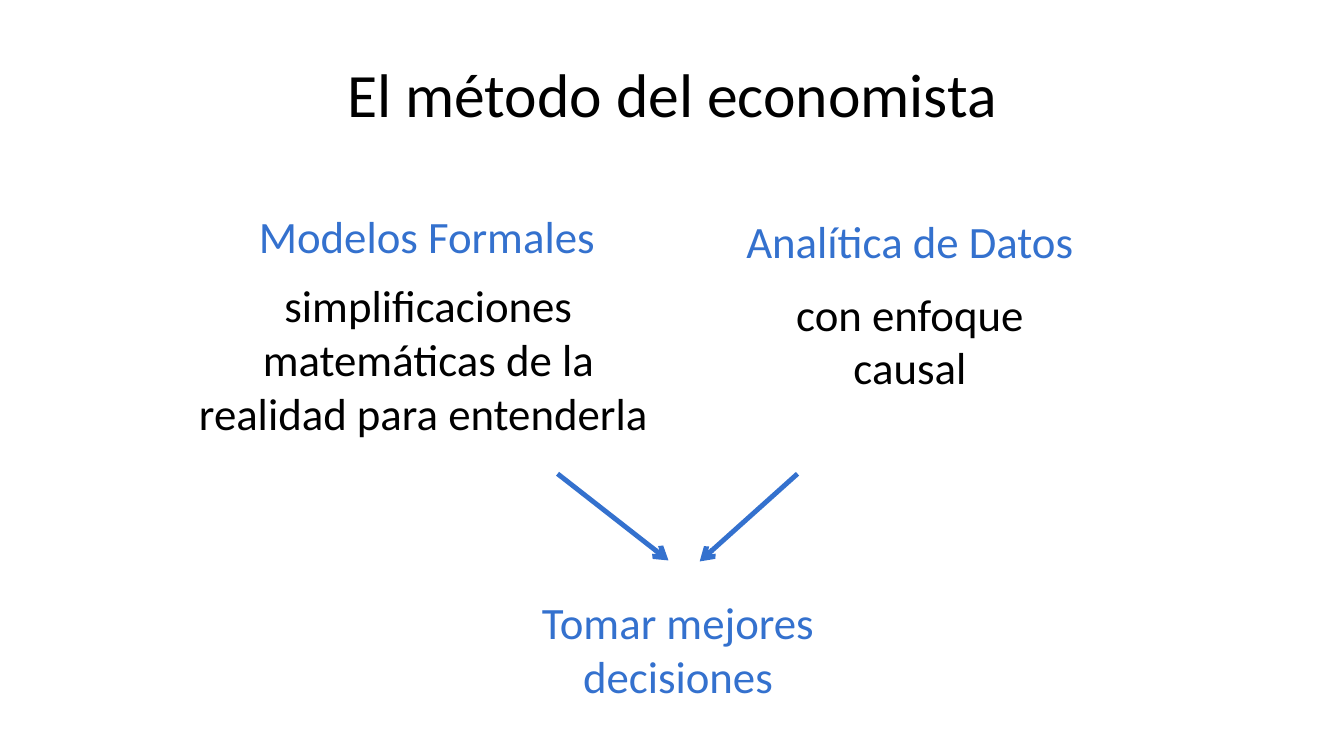
from lxml import etree
from pptx import Presentation
from pptx.dml.color import RGBColor
from pptx.enum.shapes import MSO_CONNECTOR
from pptx.enum.text import MSO_ANCHOR, PP_ALIGN
from pptx.oxml.ns import qn
from pptx.util import Inches, Pt

STRAIGHT = MSO_CONNECTOR.STRAIGHT
TOP, MIDDLE = MSO_ANCHOR.TOP, MSO_ANCHOR.MIDDLE
CENTER = PP_ALIGN.CENTER

THEME = {
    "font": "Calibri",
    "title": {"size": Pt(44), "color": RGBColor.from_string("000000")},
    "heading": {"size": Pt(32), "color": RGBColor.from_string("3471CE")},
    "body": {"size": Pt(32), "color": RGBColor.from_string("000000")},
    "arrow_width": Pt(3.5),
}

# Content: words, style, anchor, (left, top, width, height)
TEXTS = [
    ("El método del economista", "title", MIDDLE, (2.17, 0.3, 9, 1.25)),
    ("Modelos Formales ", "heading", TOP, (2.18, 2.02, 4.21, 0.64)),
    ("Analítica de Datos", "heading", TOP, (6.92, 2.07, 4.21, 0.64)),
    ("simplificaciones matemáticas de la realidad para entenderla ",
     "body", TOP, (1.85, 2.71, 4.8, 1.72)),
    ("con enfoque causal", "body", TOP, (7.37, 2.79, 3.31, 1.18)),
    ("Tomar mejores decisiones", "heading", TOP, (4.62, 5.85, 4.21, 1.18)),
]

# Arrows: tip x, tip y, origin x, origin y
ARROWS = [(6.63, 5.56, 5.53, 4.7), (6.94, 5.57, 7.91, 4.7)]


def add_text(page, words, style, anchor, place):
    box = page.shapes.add_textbox(*map(Inches, place))
    frame = box.text_frame
    frame.word_wrap = True
    frame.vertical_anchor = anchor
    para = frame.paragraphs[0]
    para.alignment = CENTER
    span = para.add_run()
    span.text = words
    font_values = {"name": THEME["font"], "size": THEME[style]["size"]}
    for name, value in font_values.items():
        setattr(span.font, name, value)
    span.font.color.rgb = THEME[style]["color"]


def add_arrow(page, ends):
    arrow = page.shapes.add_connector(STRAIGHT, *map(Inches, ends))
    arrow.line.color.rgb = THEME["heading"]["color"]
    arrow.line.width = THEME["arrow_width"]
    # The arrowhead sits at the tip, where the line begins
    etree.SubElement(arrow.line._get_or_add_ln(), qn("a:headEnd"), type="arrow")
    etree.SubElement(arrow._element.spPr, qn("a:effectLst"))


def main():
    deck = Presentation()
    deck.slide_width, deck.slide_height = Inches(13.33), Inches(7.5)
    page = deck.slides.add_slide(deck.slide_layouts[6])

    # Title, the two approaches and their result
    for text in TEXTS:
        add_text(page, *text)

    # Arrows from both approaches to the result
    for ends in ARROWS:
        add_arrow(page, ends)

    deck.save("out.pptx")


if __name__ == "__main__":
    main()
